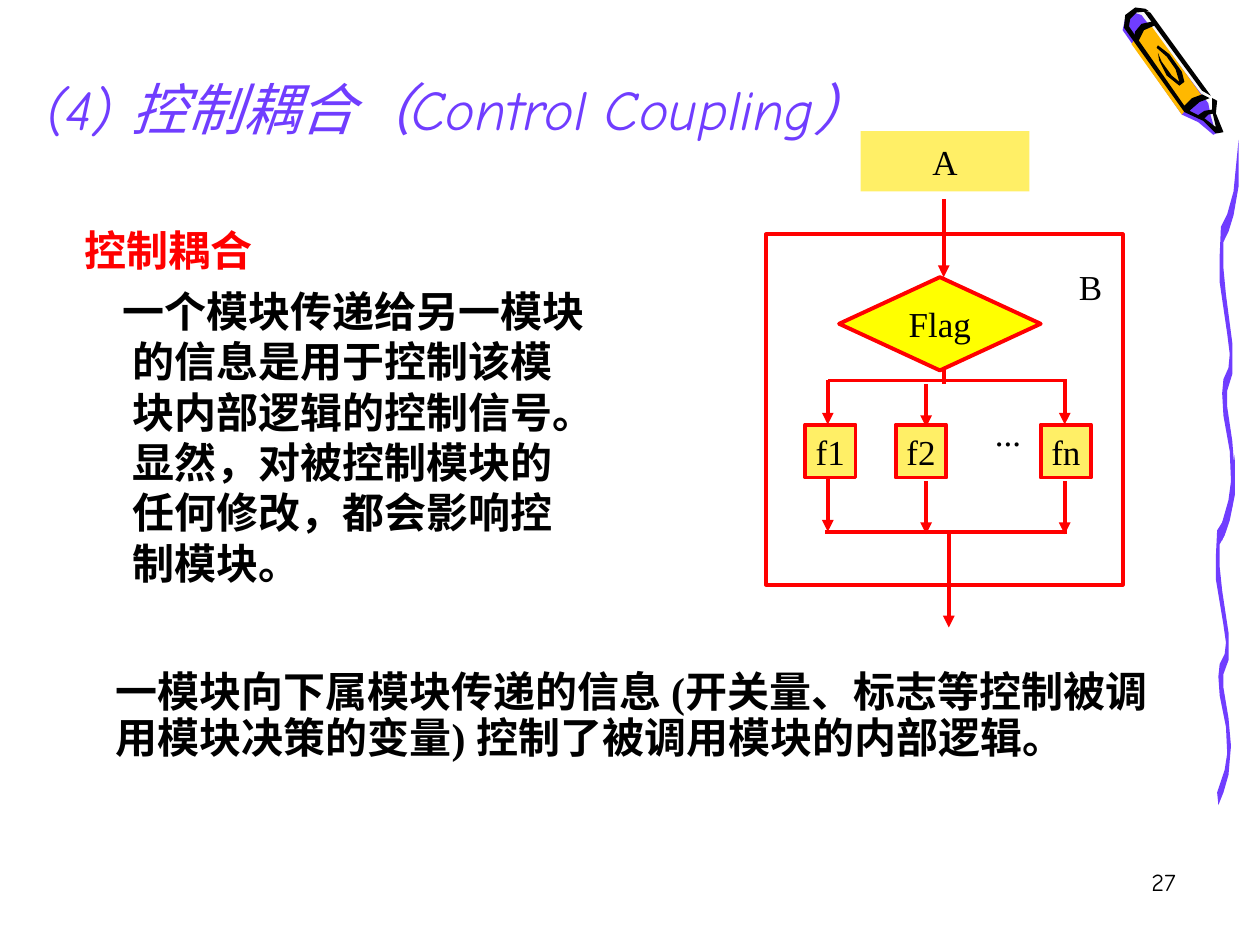
from dataclasses import dataclass, field

import pptx
import pptx.dml.color
import pptx.enum.shapes
import pptx.enum.text
import pptx.oxml.ns
import pptx.util
from lxml import etree

COLS, ROWS = 100, 75
CELL = pptx.util.Inches(0.1)
FINE = CELL // 10  # a tenth of a cell, used by the outlines
HUES = {"violet": "703DFF", "gold": "FFB800", "pale": "F8F8F8", "black": "000000",
        "red": "FF0000", "cream": "FFEF66", "yellow": "FFFF00"}
KIND = pptx.enum.shapes.MSO_SHAPE
ALIGN = pptx.enum.text.PP_ALIGN
ANCHOR = pptx.enum.text.MSO_ANCHOR
qn = pptx.oxml.ns.qn
COMIC, ROMAN = "Comic Neue", "Times New Roman"
PEN = 2.25


@dataclass
class Box:
    """A place on the grid: left column, top row, columns wide, rows high."""
    left: float
    top: float
    wide: float
    high: float

    def emu(self) -> list[int]:
        return [round(v * CELL) for v in (self.left, self.top, self.wide, self.high)]


@dataclass
class Node:
    box: Box
    text: str = ""
    kind: KIND = KIND.RECTANGLE
    fill: str = ""
    edge: str = "red"


@dataclass
class Line:
    x1: float
    y1: float
    x2: float
    y2: float
    head: bool = True


@dataclass
class Para:
    text: str
    font: dict
    hue: str = "black"
    form: dict = field(default_factory=dict)
    dent: tuple = ()  # left margin and first-line indent, in cells


STROKE = [(969, 418), (975, 397), (977, 382), (976, 358), (971, 330), (970, 312), (971, 301),
          (975, 292), (976, 281), (974, 265), (968, 224), (968, 203), (969, 180), (974, 170),
          (979, 152), (983, 111), (983, 148), (979, 171), (975, 184), (971, 192), (971, 213),
          (973, 234), (978, 272), (978, 297), (974, 310), (974, 323), (978, 350), (980, 375),
          (978, 402), (974, 417), (970, 429)]
LOWER = [(x - 3, round(361 + (y - 111) * 278 / 318)) for x, y in STROKE]

CRAYON = [
    ("pale", [(968, 103), (963, 88), (952, 66), (909, 9), (902, 7), (896, 12), (894, 22),
              (941, 88), (956, 95), (966, 104)]),
    ("violet", [(906, 12), (959, 82), (961, 92), (965, 106), (963, 107), (951, 97), (938, 91),
                (891, 24), (893, 15), (900, 10)]),
    ("gold", [(898, 35), (938, 91), (946, 81), (956, 79), (914, 21), (905, 25)]),
    ("black", [(962, 87), (956, 88), (950, 92), (956, 94), (959, 91), (964, 90)]),
    ("black", [(909, 7), (901, 6), (893, 12), (892, 22), (940, 89), (955, 96), (965, 106),
               (971, 105), (965, 90), (966, 80), (962, 78), (962, 88), (965, 101), (956, 94),
               (944, 88), (952, 81), (960, 78), (954, 75), (946, 78), (940, 84), (896, 21),
               (897, 15), (902, 10), (912, 9)]),
    ("black", [(913, 10), (961, 76), (954, 72), (907, 8)]),
    ("black", [(915, 17), (906, 19), (901, 25), (900, 30), (903, 34), (908, 24), (917, 20)]),
    ("black", [(918, 38), (926, 45), (933, 55), (936, 65), (930, 60), (922, 49), (919, 42),
               (920, 48), (926, 60), (936, 68), (940, 65), (938, 57), (928, 43), (919, 36)]),
]

NODES = [
    Node(Box(68.3, 10.4, 13.4, 4.8), "A", fill="cream", edge=""),
    Node(Box(60.8, 18.6, 28.3, 27.8)),
    Node(Box(83.3, 19.2, 6.5, 7.1), "B", edge=""),
    Node(Box(66.6, 22, 16, 7.4), "Flag", KIND.DIAMOND, "yellow"),
    *(Node(Box(x, 33.7, 4, 4.2), name, fill="cream")
      for x, name in ((63.9, "f1"), (71.1, "f2"), (82.6, "fn"))),
    Node(Box(75.8, 29.8, 8.4, 9.1), "...", edge=""),
]

LINES = [
    Line(74.9, 15.8, 74.9, 22),
    Line(74.9, 29.1, 74.9, 30.5, False),
    Line(65.7, 30.2, 84.7, 30.2, False),
    *(Line(x, top, x, end) for x, top, end in (
        (65.7, 30.2, 33.7), (73.5, 30.5, 33.9), (84.5, 30.2, 33.7),
        (65.7, 37.9, 42.2), (73.5, 38.2, 42.4), (84.5, 38.2, 42.4))),
    Line(65.5, 42.2, 84.7, 42.2, False),
    Line(75.3, 42.4, 75.3, 49.8),
]


def rgb(hue: str) -> pptx.dml.color.RGBColor:
    return pptx.dml.color.RGBColor.from_string(HUES[hue])


def style(thing, form: dict) -> None:
    for name, value in form.items():
        setattr(thing, name, value)


def face(name: str, size: float, **more) -> dict:
    return {"name": name, "size": pptx.util.Pt(size), **more}


def write(shape, paras: list[Para], **frame) -> None:
    body = shape.text_frame
    style(body, {"word_wrap": True, "auto_size": pptx.enum.text.MSO_AUTO_SIZE.NONE, **frame})
    for i, item in enumerate(paras):
        para = body.add_paragraph() if i else body.paragraphs[0]
        props = para._p.get_or_add_pPr()
        for key, cells in zip(("marL", "indent"), item.dent or (0, 0)):
            props.set(key, str(round(cells * CELL)))
        style(para, {"alignment": ALIGN.LEFT, "space_before": pptx.util.Pt(6 if i else 0),
                     **item.form})
        etree.SubElement(props, qn("a:buNone"))
        run = para.add_run()
        run.text = item.text
        style(run.font, item.font)
        run.font.color.rgb = rgb(item.hue)


def place(shape, box: Box) -> None:
    style(shape, dict(zip(("left", "top", "width", "height"), box.emu())))


def paint(shape, fill: str, edge: str = "") -> None:
    shape.shadow.inherit = False
    if fill:
        shape.fill.solid()
        shape.fill.fore_color.rgb = rgb(fill)
    else:
        shape.fill.background()
    if edge:
        shape.line.color.rgb = rgb(edge)
        shape.line.width = pptx.util.Pt(PEN)
    else:
        shape.line.fill.background()


def trace(shapes, dots: list[tuple], hue: str) -> None:
    pen = shapes.build_freeform(*dots[0], scale=FINE)
    pen.add_line_segments(dots[1:], close=True)
    paint(pen.convert_to_shape(), hue)


def draw(shapes, node: Node) -> None:
    shape = shapes.add_shape(node.kind, *node.box.emu())
    paint(shape, node.fill, node.edge)
    if node.text:
        para = Para(node.text, face(ROMAN, 20), form={"alignment": ALIGN.CENTER})
        write(shape, [para], word_wrap=False, vertical_anchor=ANCHOR.MIDDLE)


def link(shapes, line: Line) -> None:
    ends = [round(v * CELL) for v in (line.x1, line.y1, line.x2, line.y2)]
    wire = shapes.add_connector(pptx.enum.shapes.MSO_CONNECTOR.STRAIGHT, *ends)
    wire.line.color.rgb = rgb("red")
    wire.line.width = pptx.util.Pt(PEN)
    if line.head:
        etree.SubElement(wire.line._get_or_add_ln(), qn("a:tailEnd"), type="triangle")
    etree.SubElement(wire._element.spPr, qn("a:effectLst"))


def main() -> None:
    deck = pptx.Presentation()
    deck.slide_width, deck.slide_height = COLS * CELL, ROWS * CELL
    slide = deck.slides.add_slide(deck.slide_layouts[1])
    shapes = slide.shapes
    for hue, dots in [("violet", LOWER), ("violet", STROKE), *CRAYON]:
        trace(shapes, dots, hue)

    title, body = slide.placeholders
    place(title, Box(2.7, 2.6, 85, 11.9))
    write(title, [Para("(4) 控制耦合（Control Coupling）", face(COMIC, 32, italic=True), "violet")],
          vertical_anchor=ANCHOR.MIDDLE)
    place(body, Box(5.7, 17.3, 42.3, 31.6))
    bold = face(COMIC, 24, bold=True)
    write(body, [
        Para("控制耦合", bold, "red", dent=(3.8, -3.8)),
        Para("一个模块传递给另一模块的信息是用于控制该模块内部逻辑的控制信号。"
             "显然，对被控制模块的任何修改，都会影响控制模块。", bold, dent=(3.8, -0.8)),
    ], vertical_anchor=ANCHOR.TOP)

    for node in NODES:
        draw(shapes, node)
    for line in LINES:
        link(shapes, line)

    note = shapes.add_textbox(*Box(8.2, 52.8, 84.6, 8.2).emu())
    write(note, [Para("一模块向下属模块传递的信息 (开关量、标志等控制被调用模块决策的变量) "
                      "控制了被调用模块的内部逻辑。", face(ROMAN, 24, bold=True),
                      form={"line_spacing": 0.9})])
    page = shapes.add_textbox(*Box(73.5, 68.3, 20.8, 5).emu())
    write(page, [Para("27", face(COMIC, 14), form={"alignment": ALIGN.RIGHT})])
    deck.save("out.pptx")


if __name__ == "__main__":
    main()
